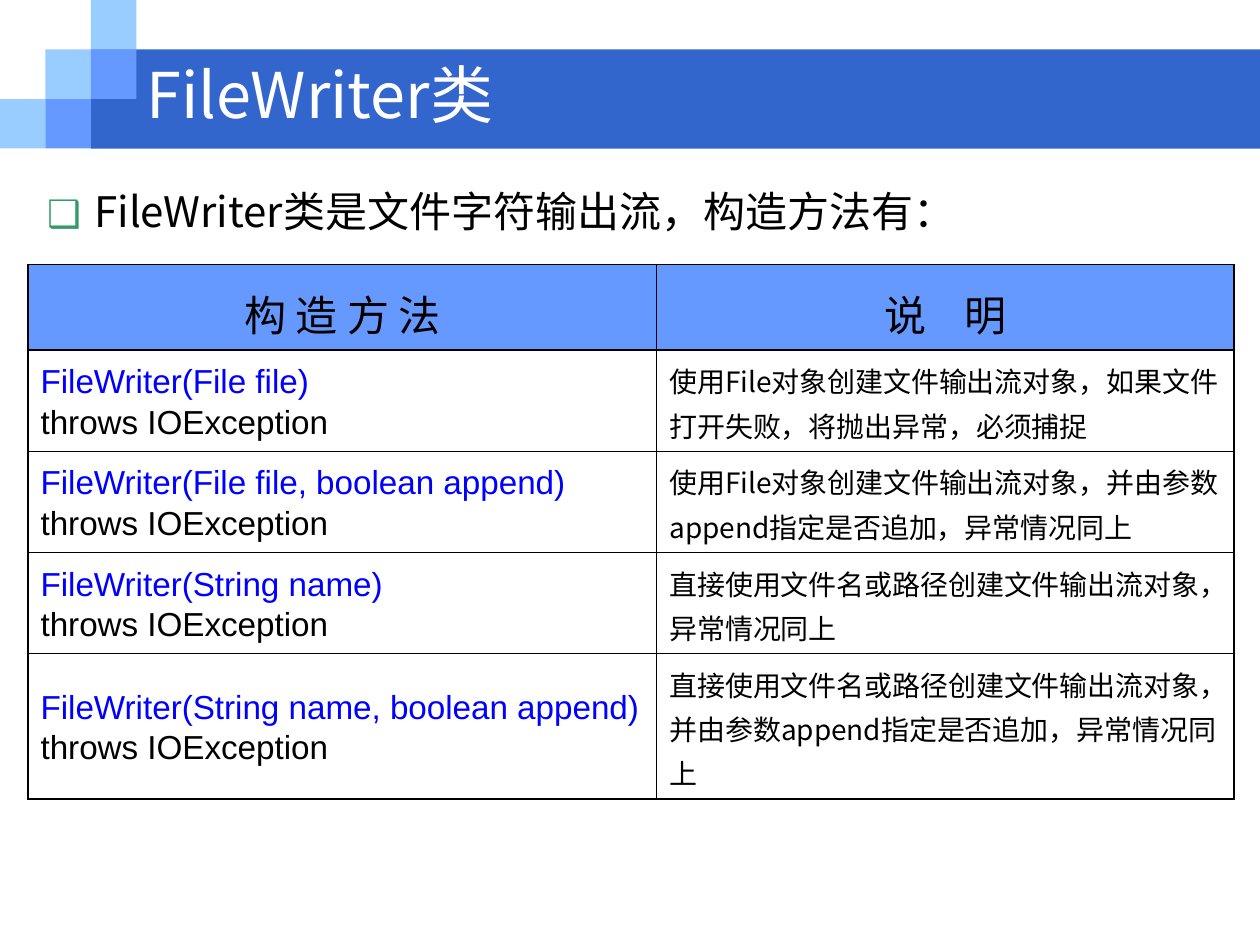
from dataclasses import dataclass

from lxml import etree
from pptx import Presentation
from pptx.dml.color import RGBColor
from pptx.enum.shapes import MSO_SHAPE
from pptx.enum.text import MSO_ANCHOR, PP_ALIGN
from pptx.oxml.ns import qn
from pptx.util import Pt

RECTANGLE = MSO_SHAPE.RECTANGLE
MIDDLE, TOP = MSO_ANCHOR.MIDDLE, MSO_ANCHOR.TOP
LEFT, CENTER = PP_ALIGN.LEFT, PP_ALIGN.CENTER


@dataclass(frozen=True)
class Theme:
    band: str = "3366CC"
    pale: str = "99CCFF"
    bright: str = "6699FF"
    bullet: str = "339966"
    code: str = "0000FF"
    ink: str = "000000"
    paper: str = "FFFFFF"
    cjk: str = "Noto Sans CJK SC"
    sans: str = "Arial"
    mono: str = "Courier New"
    title_size: float = 36
    body_size: float = 24
    code_size: float = 19
    note_size: float = 16


THEME = Theme()


@dataclass(frozen=True)
class Box:
    left: float
    top: float
    width: float
    height: float

    def in_points(self) -> list:
        return [Pt(v) for v in (self.left, self.top, self.width, self.height)]


@dataclass(frozen=True)
class Line:
    text: str
    size: float
    font: str
    color: str = THEME.ink
    spacing: float = 1.1
    align: PP_ALIGN = LEFT


@dataclass(frozen=True)
class Constructor:
    signature: str
    note: str
    height: float


TILE_WIDTH, TILE_HEIGHT = 26, 28.3
BAND = Box(52, 28.3, 668, 56.7)
TILES = [  # column, row, color
    (0, 2, THEME.pale),
    (1, 1, THEME.pale),
    (2, 0, THEME.pale),
    (2, 1, THEME.bright),
    (1, 2, THEME.bright),
]
TITLE_BOX = Box(76.7, 19.4, 527, 67.7)
BODY_BOX = Box(19.8, 99.7, 646.6, 45.4)
TABLE_LEFT, TABLE_TOP = 16, 151
COLUMN_WIDTHS = [359.3, 329.8]
HEADER_HEIGHT = 49.1
TWO_LINES, THREE_LINES = 57.8, 83
HEADERS = ["构 造 方 法", "说    明"]
CONSTRUCTORS = [
    Constructor("FileWriter(File file)",
                "使用File对象创建文件输出流对象，如果文件打开失败，将抛出异常，必须捕捉", TWO_LINES),
    Constructor("FileWriter(File file, boolean append)",
                "使用File对象创建文件输出流对象，并由参数append指定是否追加，异常情况同上", TWO_LINES),
    Constructor("FileWriter(String name)",
                "直接使用文件名或路径创建文件输出流对象，异常情况同上", TWO_LINES),
    Constructor("FileWriter(String name, boolean append)",
                "直接使用文件名或路径创建文件输出流对象，并由参数append指定是否追加，异常情况同上", THREE_LINES),
]


def add_rectangle(page, box: Box, color: str) -> None:
    shape = page.shapes.add_shape(RECTANGLE, *box.in_points())
    shape.shadow.inherit = False
    shape.fill.solid()
    shape.fill.fore_color.rgb = RGBColor.from_string(color)
    shape.line.fill.background()


def write_lines(frame, lines: list[Line]) -> None:
    for index, line in enumerate(lines):
        para = frame.paragraphs[0] if index == 0 else frame.add_paragraph()
        para.alignment, para.line_spacing = line.align, line.spacing
        span = para.add_run()
        span.text = line.text
        formats = {"size": Pt(line.size), "name": line.font}
        for name, value in formats.items():
            setattr(span.font, name, value)
        span.font.color.rgb = RGBColor.from_string(line.color)
        east_asian = etree.SubElement(span.font._element, qn("a:ea"))
        east_asian.set("typeface", THEME.cjk)


def add_text(page, box: Box, line: Line, anchor: MSO_ANCHOR):
    frame = page.shapes.add_textbox(*box.in_points()).text_frame
    formats = {"word_wrap": True, "vertical_anchor": anchor}
    for name, value in formats.items():
        setattr(frame, name, value)
    write_lines(frame, [line])
    return frame.paragraphs[0]


def add_bullet(para, char: str, indent: float) -> None:
    properties = para._p.get_or_add_pPr()
    properties.set("marL", str(Pt(indent)))
    properties.set("indent", str(-Pt(indent)))
    color = etree.SubElement(properties, qn("a:buClr"))
    etree.SubElement(color, qn("a:srgbClr")).set("val", THEME.bullet)
    etree.SubElement(properties, qn("a:buSzPct")).set("val", "90000")
    etree.SubElement(properties, qn("a:buFont")).set("typeface", THEME.cjk)
    etree.SubElement(properties, qn("a:buChar")).set("char", char)


def add_borders(cell) -> None:
    """Put a one-point line on each side; the lines must precede the fill."""
    properties = cell._tc.get_or_add_tcPr()
    for index, side in enumerate(("a:lnL", "a:lnR", "a:lnT", "a:lnB")):
        border = etree.Element(qn(side), w=str(Pt(1)))
        fill = etree.SubElement(border, qn("a:solidFill"))
        etree.SubElement(fill, qn("a:srgbClr")).set("val", THEME.ink)
        properties.insert(index, border)


def fill_cell(cell, lines: list[Line], color: str) -> None:
    cell.vertical_anchor = MIDDLE
    cell.fill.solid()
    cell.fill.fore_color.rgb = RGBColor.from_string(color)
    add_borders(cell)
    write_lines(cell.text_frame, lines)


def add_constructor_table(page) -> None:
    heights = [HEADER_HEIGHT] + [item.height for item in CONSTRUCTORS]
    box = Box(TABLE_LEFT, TABLE_TOP, sum(COLUMN_WIDTHS), sum(heights))
    table = page.shapes.add_table(len(heights), len(COLUMN_WIDTHS), *box.in_points()).table
    for column, width in zip(table.columns, COLUMN_WIDTHS):
        column.width = Pt(width)
    for row, height in zip(table.rows, heights):
        row.height = Pt(height)
    for column, text in enumerate(HEADERS):
        header = Line(text, THEME.body_size, THEME.mono, spacing=1.2, align=CENTER)
        fill_cell(table.cell(0, column), [header], THEME.bright)
    for row, item in enumerate(CONSTRUCTORS, start=1):
        signature = [
            Line(item.signature, THEME.code_size, THEME.sans, THEME.code),
            Line("throws IOException", THEME.code_size, THEME.sans),
        ]
        note = [Line(item.note, THEME.note_size, THEME.cjk)]
        for column, lines in enumerate((signature, note)):
            fill_cell(table.cell(row, column), lines, THEME.paper)


def main() -> None:
    deck = Presentation()
    deck.slide_width, deck.slide_height = Pt(720), Pt(540)
    page = deck.slides.add_slide(deck.slide_layouts[6])
    add_rectangle(page, BAND, THEME.band)
    for column, row, color in TILES:
        tile = Box(column * TILE_WIDTH, row * TILE_HEIGHT, TILE_WIDTH, TILE_HEIGHT)
        add_rectangle(page, tile, color)
    title = Line("FileWriter类", THEME.title_size, THEME.cjk, THEME.paper, 1.0)
    add_text(page, TITLE_BOX, title, MIDDLE)
    body = Line("FileWriter类是文件字符输出流，构造方法有：", THEME.body_size, THEME.cjk)
    para = add_text(page, BODY_BOX, body, TOP)
    para.space_after = Pt(6)
    add_bullet(para, "❑", 27)
    add_constructor_table(page)
    deck.save("out.pptx")


if __name__ == "__main__":
    main()
